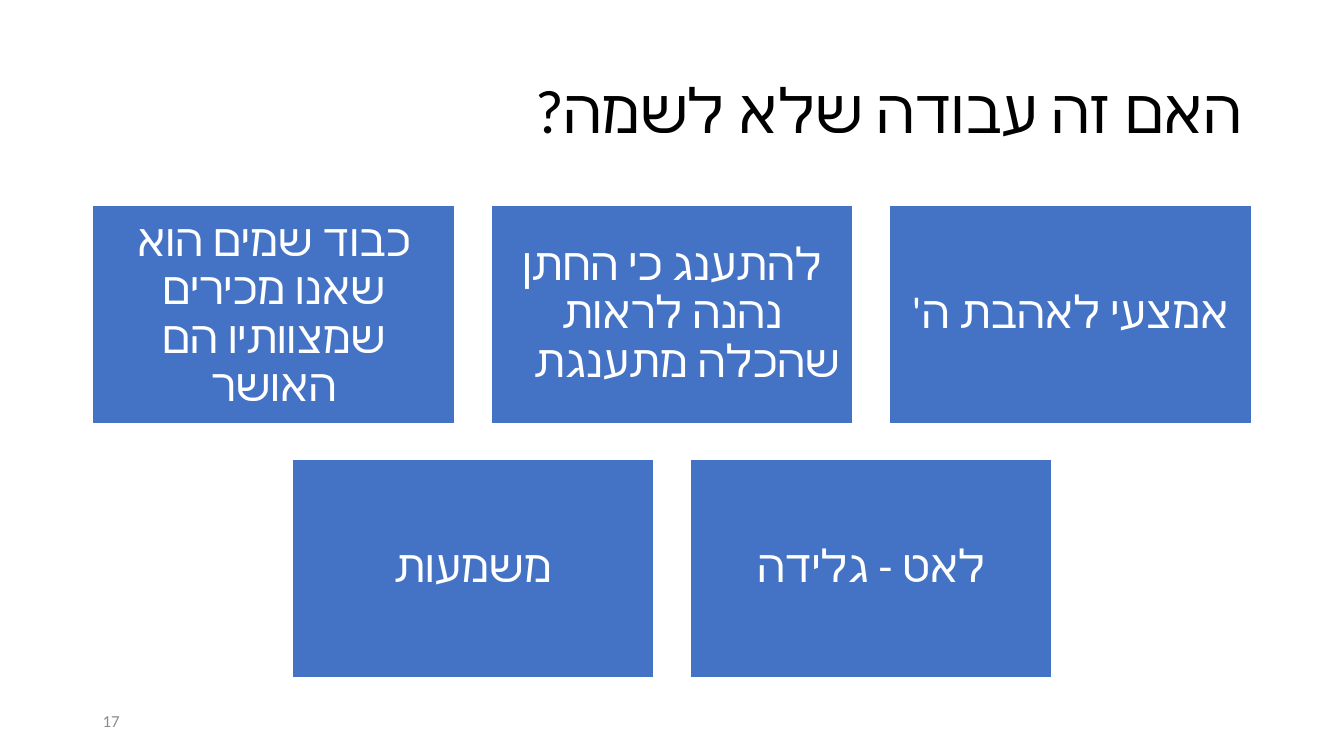
from lxml.etree import SubElement
from pptx import Presentation
from pptx.dml.color import RGBColor
from pptx.enum.shapes import MSO_SHAPE
from pptx.enum.text import MSO_ANCHOR, PP_ALIGN
from pptx.oxml.ns import qn
from pptx.util import Inches, Pt

SLIDE_WIDTH, SLIDE_HEIGHT = 13.33, 7.5
CARD_WIDTH, CARD_HEIGHT, GAP = 3.59, 2.16, 0.36
CARDS_TOP = 2.04
CARD_ROWS = [
    [
        "כבוד שמים הוא שאנו מכירים שמצוותיו הם האושר",
        "להתענג כי החתן נהנה לראות שהכלה מתענגת \t",
        "אמצעי לאהבת ה'",
    ],
    ["משמעות", "לאט - גלידה"],
]


def color(value):
    return RGBColor.from_string(value)


class SlideBuilder:
    font_name = "Calibri"
    card_fill = "4472C4"
    card_line = "FFFFFF"
    card_inset = Inches(0.13)

    def __init__(self, slide):
        self.slide = slide

    def set_text(self, frame, text, size, ink, align, spacing=1.0):
        frame_format = {"word_wrap": True, "vertical_anchor": MSO_ANCHOR.MIDDLE}
        for name, value in frame_format.items():
            setattr(frame, name, value)
        paragraph = frame.paragraphs[0]
        paragraph_format = {"alignment": align, "line_spacing": spacing}
        for name, value in paragraph_format.items():
            setattr(paragraph, name, value)
        paragraph._p.get_or_add_pPr().set("rtl", "1")
        run = paragraph.add_run()
        run.text = text
        for name, value in {"name": self.font_name, "size": Pt(size)}.items():
            setattr(run.font, name, value)
        run.font.color.rgb = color(ink)
        SubElement(run._r.get_or_add_rPr(), qn("a:cs"), typeface=self.font_name)

    def label(self, text, left, top, width, height, size, ink, align, spacing=1.0):
        area = self.slide.shapes.add_textbox(
            Inches(left), Inches(top), Inches(width), Inches(height)
        )
        self.set_text(area.text_frame, text, size, ink, align, spacing)

    def card(self, text, left, top):
        card = self.slide.shapes.add_shape(
            MSO_SHAPE.RECTANGLE,
            Inches(left), Inches(top), Inches(CARD_WIDTH), Inches(CARD_HEIGHT),
        )
        card.shadow.inherit = False
        card.fill.solid()
        card.fill.fore_color.rgb = color(self.card_fill)
        card.line.color.rgb = color(self.card_line)
        card.line.width = Pt(1)
        for side in ("left", "top", "right", "bottom"):
            setattr(card.text_frame, f"margin_{side}", self.card_inset)
        self.set_text(card.text_frame, text, 32, "FFFFFF", PP_ALIGN.CENTER, 0.9)

    def card_row(self, texts, top):
        row_width = len(texts) * (CARD_WIDTH + GAP) - GAP
        first_left = (SLIDE_WIDTH - row_width) / 2
        for column, text in enumerate(texts):
            self.card(text, first_left + column * (CARD_WIDTH + GAP), top)


def main():
    presentation = Presentation()
    presentation.slide_width = Inches(SLIDE_WIDTH)
    presentation.slide_height = Inches(SLIDE_HEIGHT)
    builder = SlideBuilder(presentation.slides.add_slide(presentation.slide_layouts[6]))
    builder.label(
        "האם זה עבודה שלא לשמה?", 0.92, 0.4, 11.5, 1.45, 44, "000000", PP_ALIGN.RIGHT, 0.9
    )
    for row, texts in enumerate(CARD_ROWS):
        builder.card_row(texts, CARDS_TOP + row * (CARD_HEIGHT + GAP))
    builder.label("17", 0.92, 6.95, 3, 0.4, 12, "8C8C8C", PP_ALIGN.LEFT)
    presentation.save("out.pptx")


if __name__ == "__main__":
    main()
